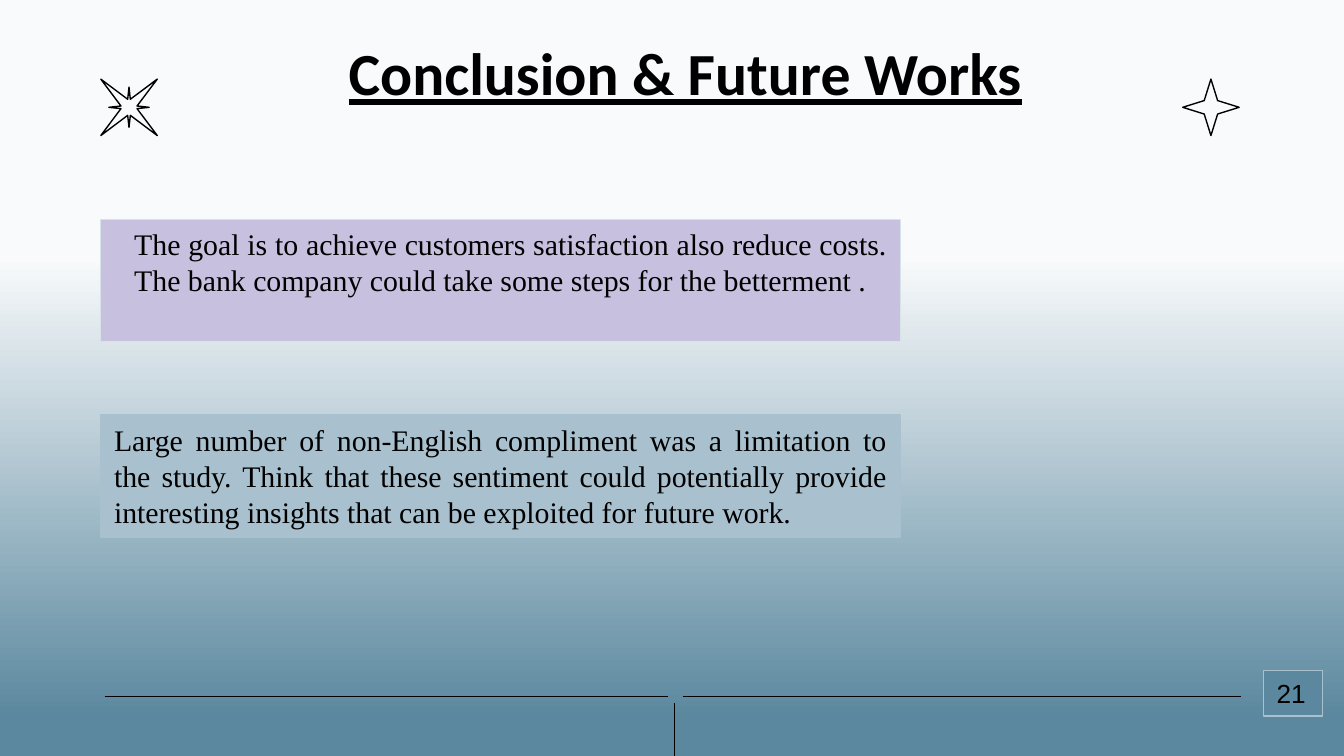
import pptx
import pptx.dml.color
import pptx.enum.shapes
import pptx.enum.text
import pptx.oxml
import pptx.oxml.ns
import pptx.util
from dataclasses import dataclass


@dataclass(frozen=True)
class Theme:
    ink: str = "000000"
    lilac: str = "C7C1DF"
    mist: str = "A9C1CE"
    pale: str = "D8E3E9"
    steel: str = "5B889F"
    backdrop: tuple = ((5, "5B889F"), (66, "F8FAFB"), (100, "FBFCFD"))
    title_size: int = 32
    body_size: int = 16
    number_size: int = 14
    title_font: str = "Calibri"
    body_font: str = "Times New Roman"
    number_font: str = "Arial"
    stroke: float = 0.75


theme = Theme()
rgb = pptx.dml.color.RGBColor.from_string
align = pptx.enum.text.PP_ALIGN

deck = pptx.Presentation()
deck.slide_width = pptx.util.Inches(10)
deck.slide_height = pptx.util.Inches(5.625)
page = deck.slides.add_slide(deck.slide_layouts[6])

# The grid has 100 columns and 100 rows.
column = deck.slide_width / 100
row = deck.slide_height / 100


def place(*cells):
    """Turn alternating columns and rows into slide lengths."""
    return [round(cell * (row if index % 2 else column)) for index, cell in enumerate(cells)]


def write(shape, text, font, size, alignment):
    """Fill a shape with one paragraph anchored at its top and return it."""
    frame = shape.text_frame
    frame.word_wrap = True
    frame.vertical_anchor = pptx.enum.text.MSO_ANCHOR.TOP
    para = frame.paragraphs[0]
    para.text = text
    para.alignment = alignment
    para.font.name = font
    para.font.size = pptx.util.Pt(size)
    para.font.color.rgb = rgb(theme.ink)
    return para


# Background, running from the bottom to the top
backdrop = page.background.fill
backdrop.gradient()
backdrop.gradient_angle = 90
stops = page.background._cSld.find(".//" + pptx.oxml.ns.qn("a:gsLst"))
for stop in list(stops):
    stops.remove(stop)
for position, color in theme.backdrop:
    stops.append(pptx.oxml.parse_xml(
        f'<a:gs {pptx.oxml.ns.nsdecls("a")} pos="{position * 1000}">'
        f'<a:srgbClr val="{color}"/></a:gs>'))

# Footer rules
for ends in ((7.8, 92.1, 49.7, 92.1), (50.8, 92.1, 92.3, 92.1), (50.2, 93, 50.2, 100)):
    rule = page.shapes.add_connector(pptx.enum.shapes.MSO_CONNECTOR.STRAIGHT, *place(*ends))
    rule.line.color.rgb = rgb(theme.ink)
    rule.line.width = pptx.util.Pt(theme.stroke)
    rule._element.spPr.append(pptx.oxml.parse_xml(f'<a:effectLst {pptx.oxml.ns.nsdecls("a")}/>'))

# Title
title = page.shapes.add_textbox(*place(8.8, 4.8, 84.4, 9.6))
frame = title.text_frame
frame.margin_left = frame.margin_top = frame.margin_right = frame.margin_bottom = 0
para = write(title, "Conclusion & Future Works", theme.title_font, theme.title_size, align.CENTER)
para.font.bold = True
para.font.underline = True

# Stars: a quarter of the outline, in columns from the centre, turned four times
stars = (
    (90.1, ((0, -2.1), (-0.5, -0.5))),
    (9.6, ((-2.1, -2.1), (-0.6, -0.1), (-1.5, 0), (-0.6, 0.1))),
)
for center, quarter in stars:
    center_x, center_y = place(center, 14.2)
    outline = []
    for turn in range(4):
        outline += [(center_x + x * column, center_y + y * column) for x, y in quarter]
        quarter = [(y, -x) for x, y in quarter]
    builder = page.shapes.build_freeform(*outline[0])
    builder.add_line_segments(outline[1:], close=True)
    star = builder.convert_to_shape()
    star.shadow.inherit = False
    star.fill.background()
    star.line.color.rgb = rgb(theme.ink)
    star.line.width = pptx.util.Pt(theme.stroke)

# Text panels and page number
goal = ("The goal is to achieve customers satisfaction also reduce costs. "
        "The bank company could take some steps for the betterment .")
limitation = ("Large number of non-English compliment was a limitation to the study. "
              "Think that these sentiment could potentially provide interesting insights "
              "that can be exploited for future work.")
body = (theme.body_font, theme.body_size, align.JUSTIFY)
number = (theme.number_font, theme.number_size, align.LEFT)
panels = (
    ((7.5, 29, 59.5, 16.2), theme.lilac, theme.pale, goal, body, 1.5),
    ((7.5, 54.9, 59.5, 16.2), theme.mist, theme.mist, limitation, body, 0),
    ((94, 88.7, 4.4, 6), theme.steel, theme.mist, "21", number, 0),
)
for cells, fill, border, text, style, indent in panels:
    panel = page.shapes.add_shape(pptx.enum.shapes.MSO_SHAPE.RECTANGLE, *place(*cells))
    panel.shadow.inherit = False
    panel.fill.solid()
    panel.fill.fore_color.rgb = rgb(fill)
    panel.line.color.rgb = rgb(border)
    panel.line.width = pptx.util.Pt(theme.stroke)
    para = write(panel, text, *style)
    para._p.get_or_add_pPr().set("marL", str(round(indent * column)))

deck.save("out.pptx")
